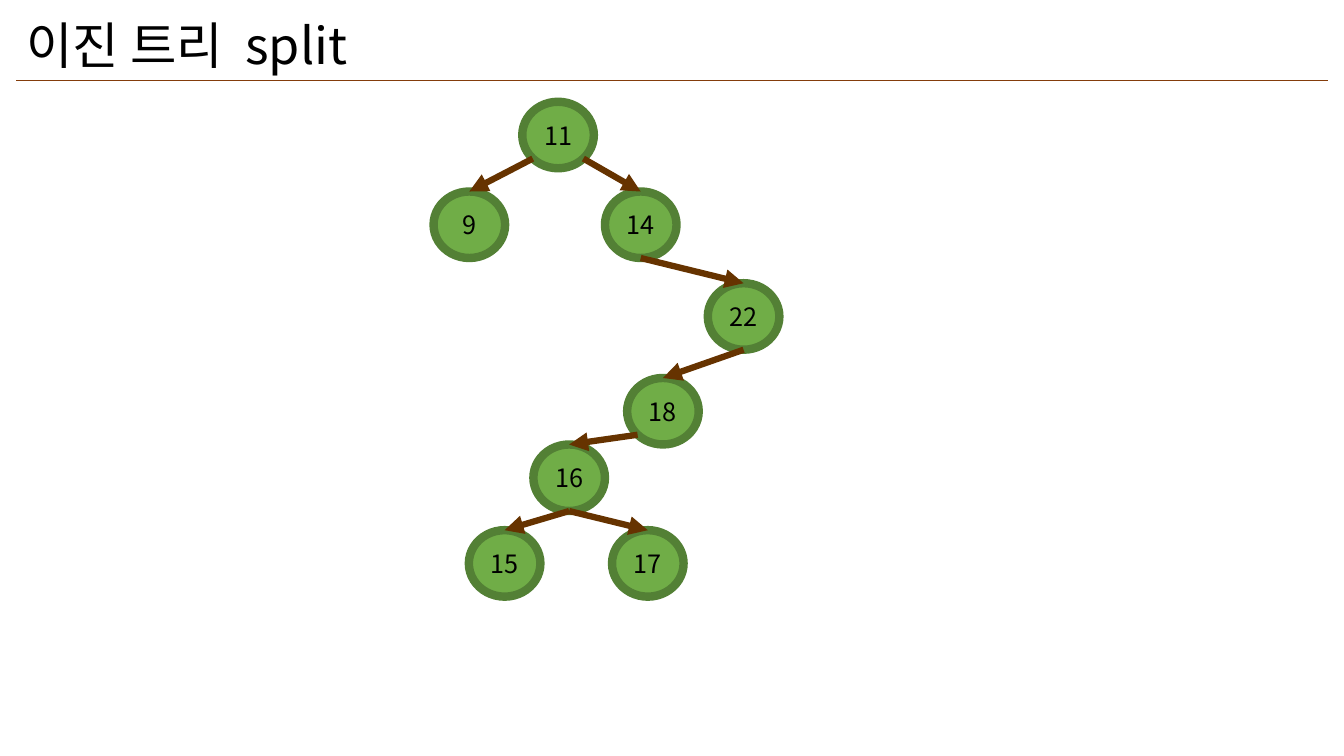
from math import sqrt
from pptx import Presentation
from pptx.util import Inches, Pt
from pptx.dml.color import RGBColor
from pptx.enum.shapes import MSO_CONNECTOR, MSO_SHAPE
from pptx.enum.text import MSO_ANCHOR, PP_ALIGN
from pptx.oxml.ns import qn
from lxml.etree import SubElement

WIDE, HIGH = 13.33, 7.5
FONT = "Noto Sans CJK KR"
HUES = {"text": "000000", "rule": "843C0B", "node": "70AD47",
        "ring": "538035", "edge": "663300"}

# Title runs: text, extra letter spacing in hundredths of a point
TITLE = [("이진 트리", 0), (" ", 800), ("split", 0)]
# Tree nodes: key -> left, top
NODES = {11: (5.18, 1.01), 9: (4.3, 1.9), 14: (6, 1.9), 22: (7.02, 2.81),
         18: (6.22, 3.75), 16: (5.29, 4.41), 17: (6.07, 5.26), 15: (4.65, 5.26)}
NODE_W, NODE_H = 0.71, 0.66
# Edges: parent, child, side of the parent where it starts (-1 left, 0 bottom, 1 right)
EDGES = [(11, 9, -1), (11, 14, 1), (14, 22, 0), (22, 18, 0),
         (18, 16, -1), (16, 17, 0), (16, 15, 0)]


def color(name):
    return RGBColor.from_string(HUES[name])


def style(run, size):
    look = {"name": FONT, "size": Pt(size)}
    for key, value in look.items():
        setattr(run.font, key, value)
    run.font.color.rgb = color("text")
    SubElement(run.font._element, qn("a:ea")).set("typeface", FONT)


def add_line(slide, start, end, hue, width):
    ends = [Inches(n) for n in (*start, *end)]
    line = slide.shapes.add_connector(MSO_CONNECTOR.STRAIGHT, *ends)
    line.line.color.rgb = color(hue)
    line.line.width = Pt(width)
    SubElement(line._element.spPr, qn("a:effectLst"))
    return line


def add_title(slide):
    box = slide.shapes.add_textbox(*[Inches(n) for n in (0.16, 0.09, 13.02, 0.71)])
    box.text_frame.word_wrap = True
    para = box.text_frame.paragraphs[0]
    for text, gap in TITLE:
        run = para.add_run()
        run.text = text
        style(run, 36)
        if gap:
            run.font._element.set("spc", str(gap))


def add_node(slide, key):
    place = [Inches(n) for n in (*NODES[key], NODE_W, NODE_H)]
    node = slide.shapes.add_shape(MSO_SHAPE.OVAL, *place)
    node.shadow.inherit = False
    node.fill.solid()
    node.fill.fore_color.rgb = color("node")
    node.line.color.rgb = color("ring")
    node.line.width = Pt(6)
    frame = node.text_frame
    frame.word_wrap = False
    frame.vertical_anchor = MSO_ANCHOR.MIDDLE
    para = frame.paragraphs[0]
    para.alignment = PP_ALIGN.CENTER
    run = para.add_run()
    run.text = str(key)
    style(run, 18)
    return node


def leave(key, side):
    """Point on the ellipse at its bottom, or at 45 degrees to one side."""
    left, top = NODES[key]
    drop = 1 / sqrt(2) if side else 1
    return (left + NODE_W / 2 * (1 + side / sqrt(2)),
            top + NODE_H / 2 * (1 + drop))


def add_edge(slide, start, child):
    left, top = NODES[child]
    edge = add_line(slide, start, (left + NODE_W / 2, top), "edge", 4.5)
    edge.end_connect(ovals[child], 0)
    SubElement(edge.line._get_or_add_ln(), qn("a:tailEnd")).set("type", "triangle")


deck = Presentation()
deck.slide_width, deck.slide_height = Inches(WIDE), Inches(HIGH)
page = deck.slides.add_slide(deck.slide_layouts[6])
add_line(page, (0.16, 0.8), (WIDE - 0.16, 0.8), "rule", 0.5)
add_title(page)
ovals = {key: add_node(page, key) for key in NODES}
for parent, child, side in EDGES:
    add_edge(page, leave(parent, side), child)
deck.save("out.pptx")
